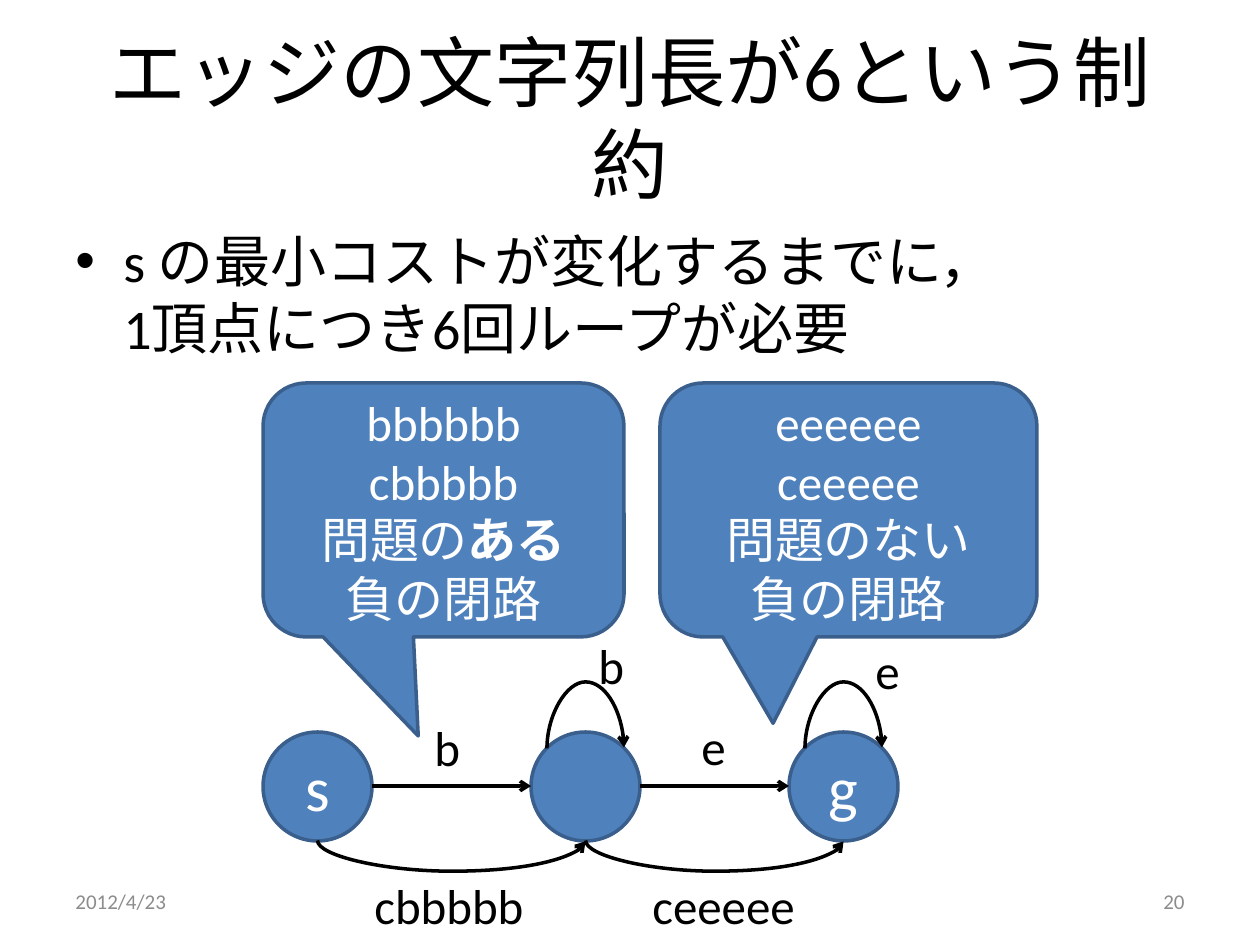
import pptx
import pptx.dml.color
import pptx.enum.shapes
import pptx.enum.text
import pptx.oxml
import pptx.oxml.ns
import pptx.util

SCALE = 914400 // 126
FONT = "Calibri"
BLACK, WHITE, GREY = "000000", "FFFFFF", "8C8C8C"
BLUE, DARK_BLUE = "4F81BD", "3A5F8C"
SHAPES = pptx.enum.shapes.MSO_SHAPE
CONNECTORS = pptx.enum.shapes.MSO_CONNECTOR
LEFT, CENTER, RIGHT = (getattr(pptx.enum.text.PP_ALIGN, name) for name in ("LEFT", "CENTER", "RIGHT"))
TOP, MIDDLE = pptx.enum.text.MSO_ANCHOR.TOP, pptx.enum.text.MSO_ANCHOR.MIDDLE

NODE = 109
NODE_TOP = 732
AXIS = 786


def px(*lengths):
    return [pptx.util.Emu(round(length * SCALE)) for length in lengths]


def color(value):
    return pptx.dml.color.RGBColor.from_string(value)


def add_xml(parent, tag, **attributes):
    child = pptx.oxml.parse_xml(f"<a:{tag} {pptx.oxml.ns.nsdecls('a')}/>")
    for name, value in attributes.items():
        child.set(name, value)
    parent.append(child)
    return child


def write(box, lines, size, ink=BLACK, align=LEFT, anchor=TOP):
    """Fill one paragraph; each line is a list of (text, bold) spans."""
    frame = box.text_frame
    frame.word_wrap = True
    frame.vertical_anchor = anchor
    para = frame.paragraphs[0]
    para.alignment = align
    for number, line in enumerate(lines):
        if number:
            para.add_line_break()
        for text, bold in line:
            span = para.add_run()
            span.text = text
            span.font.name = FONT
            span.font.size = pptx.util.Pt(size)
            span.font.bold = bold
            span.font.color.rgb = color(ink)
    return para


def plain(*texts):
    return [[(text, False)] for text in texts]


def add_text(page, frame, lines, size, **style):
    return write(page.shapes.add_textbox(*px(*frame)), lines, size, **style)


def add_bullet(para):
    properties = para._p.get_or_add_pPr()
    properties.set("marL", str(px(48)[0]))
    properties.set("indent", str(px(-48)[0]))
    para.space_before = pptx.util.Pt(6)
    add_xml(properties, "buFont", typeface="Arial")
    add_xml(properties, "buChar", char="•")


def add_blue_shape(page, kind, frame, lines, size):
    shape = page.shapes.add_shape(kind, *px(*frame))
    shape.shadow.inherit = False
    shape.fill.solid()
    shape.fill.fore_color.rgb = color(BLUE)
    shape.line.color.rgb = color(DARK_BLUE)
    shape.line.width = pptx.util.Pt(2)
    if lines:
        write(shape, lines, size, ink=WHITE, align=CENTER, anchor=MIDDLE)
    return shape


def add_callout(page, frame, pointer, lines):
    callout = add_blue_shape(page, SHAPES.ROUNDED_RECTANGULAR_CALLOUT, frame, lines, 28)
    for index, value in enumerate((*pointer, 0.17)):
        callout.adjustments[index] = value


def add_arrow(page, kind, *ends):
    arrow = page.shapes.add_connector(kind, *px(*ends))
    arrow.line.color.rgb = color(BLACK)
    arrow.line.width = pptx.util.Pt(2)
    add_xml(arrow.line._get_or_add_ln(), "tailEnd", type="arrow")
    add_xml(arrow.element.spPr, "effectLst")
    return arrow


def add_arc(page, left, y, span, depth, upward):
    """A curved connector from left to right, bulging by depth.

    Its frame is one px wide and turned by a quarter, so the bulge is
    the adjustment in multiples of that width.
    """
    middle = left + span / 2
    ends = [y - span / 2, y + span / 2]
    if upward:
        ends.reverse()
    arc = add_arrow(page, CONNECTORS.CURVE, middle + 0.5, ends[0], middle - 0.5, ends[1])
    properties = arc.element.spPr
    properties.find(pptx.oxml.ns.qn("a:xfrm")).set("rot", str((90 if upward else 270) * 60000))
    geometry = properties.find(pptx.oxml.ns.qn("a:prstGeom"))
    guides = geometry.find(pptx.oxml.ns.qn("a:avLst"))
    if guides is None:
        guides = add_xml(geometry, "avLst")
    add_xml(guides, "gd", name="adj1", fmla=f"val {depth * 100000}")


def main():
    deck = pptx.Presentation()
    deck.slide_width, deck.slide_height = px(1260, 945)
    page = deck.slides.add_slide(deck.slide_layouts[6])

    add_text(page, (63, 38, 1134, 157), plain("エッジの文字列長が6という制約"), 44,
             align=CENTER, anchor=MIDDLE)
    add_bullet(add_text(page, (63, 220, 1134, 262),
                        plain("s の最小コストが変化するまでに，", "1頂点につき6回ループが必要"), 32))

    node_lefts = (263, 531, 789)
    for left, name in zip(node_lefts, ("s", "", "g")):
        add_blue_shape(page, SHAPES.OVAL, (left, NODE_TOP, NODE, NODE), plain(name) if name else [], 36)

    for left, following in zip(node_lefts, node_lefts[1:]):
        add_arrow(page, CONNECTORS.STRAIGHT, left + NODE, AXIS, following, AXIS)
        add_arc(page, left + NODE / 2, NODE_TOP + NODE, following - left, 31, upward=False)
    for left in node_lefts[1:]:
        add_arc(page, left + 16, 748, 77, 67, upward=True)

    add_callout(page, (660, 383, 377, 254), (-0.2, 0.84),
                plain("eeeeee", "ceeeee", "問題のない", "負の閉路"))
    add_callout(page, (263, 383, 361, 254), (-0.07, 0.89),
                [*plain("bbbbbb", "cbbbbb"), [("問題の", False), ("ある", True)], *plain("負の閉路")])

    for text, left, top, width in (
        ("b", 422, 711, 69), ("e", 689, 710, 69),
        ("b", 586, 629, 69), ("e", 863, 634, 69),
        ("cbbbbb", 362, 869, 228), ("ceeeee", 640, 869, 228),
    ):
        add_text(page, (left, top, width, 72), plain(text), 28)

    for text, left, align in (("2012/4/23", 63, LEFT), ("20", 903, RIGHT)):
        add_text(page, (left, 876, 294, 50), plain(text), 12, ink=GREY, align=align, anchor=MIDDLE)

    deck.save("out.pptx")


if __name__ == "__main__":
    main()
